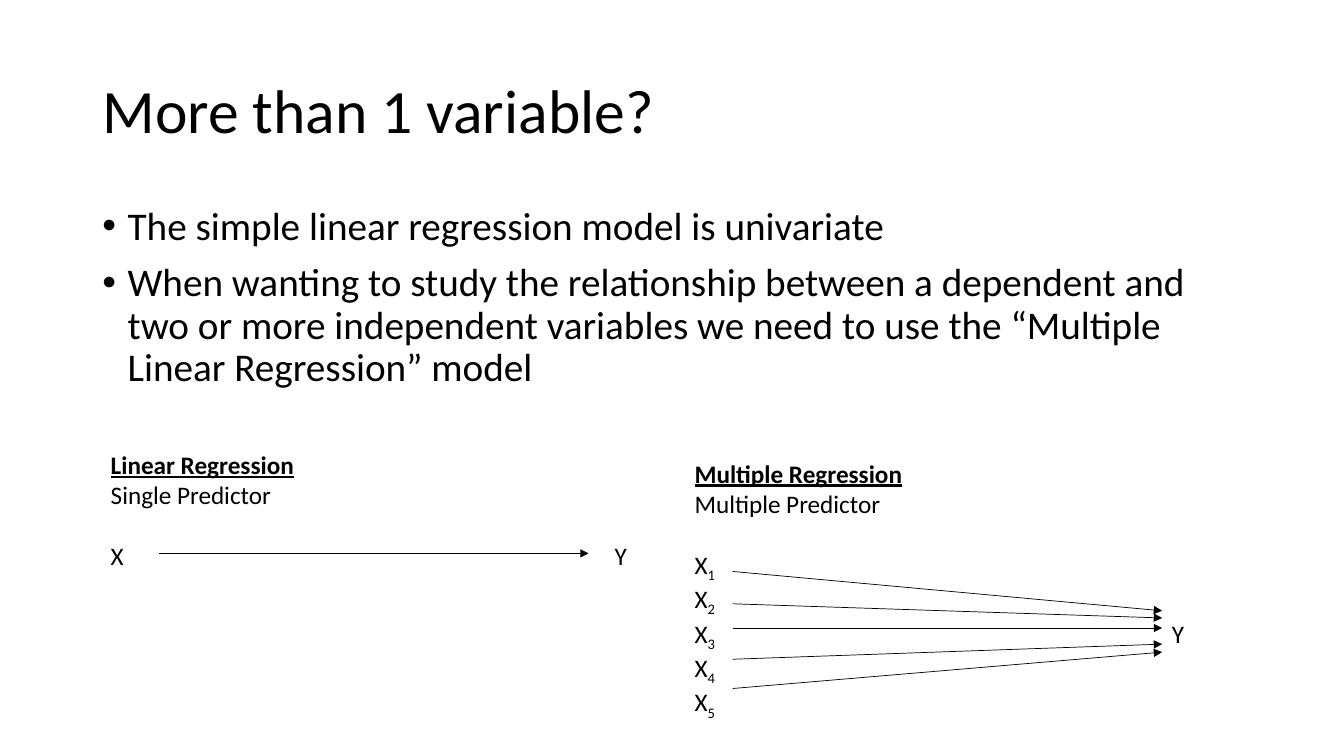
"""Build a slide that contrasts simple and multiple linear regression."""
from lxml import etree
from pptx import Presentation
from pptx.dml.color import RGBColor
from pptx.enum.shapes import MSO_CONNECTOR
from pptx.enum.text import MSO_ANCHOR, MSO_AUTO_SIZE, PP_ALIGN
from pptx.oxml.ns import qn
from pptx.util import Pt

STRAIGHT = MSO_CONNECTOR.STRAIGHT
LEFT = PP_ALIGN.LEFT
TOP, MIDDLE = MSO_ANCHOR.TOP, MSO_ANCHOR.MIDDLE
NO_FIT = MSO_AUTO_SIZE.NONE
COLORS = {"ink": "000000", "paper": "FFFFFF"}
FONT = "Calibri"
LINE_HEIGHT = 22

TITLE = "More than 1 variable?"
POINTS = [
    "The simple linear regression model is univariate",
    "When wanting to study the relationship between a dependent and two or more "
    "independent variables we need to use the “Multiple Linear Regression” model",
]
MODELS = [
    {
        "heading": "Linear Regression",
        "subheading": "Single Predictor",
        "predictors": [("X\tY",)],
        "box": (72, 317.3, 389.5, 94.3),
        "outcome_tab": 360,
        "arrow_x": 113.8,
        "arrow_y": [(395.3, 395.3)],
    },
    {
        "heading": "Multiple Regression",
        "subheading": "Multiple Predictor",
        "predictors": [("X", "1"), ("X", "2"), ("X", "3", "\tY"), ("X", "4"), ("X", "5")],
        "box": (489, 323.5, 389.5, 181.4),
        "outcome_tab": 341,
        "arrow_x": 523.4,
        "arrow_y": [(408.2, 436.3), (431.3, 441.4), (448.6, 448.6),
                    (470.9, 460.1), (491.8, 465.8)],
    },
]
ARROW_LENGTH = 306.7


def write(frame, *parts, size=18, bold=False, underline=False, before=0,
          spacing=1.0, bullet=False, tab=None):
    """Append a paragraph in which every second part is a subscript."""
    first = frame.paragraphs[0]
    paragraph = frame.add_paragraph() if first.runs else first
    paragraph.alignment = LEFT
    paragraph.line_spacing = spacing
    paragraph.space_before = Pt(before)
    properties = paragraph._p.get_or_add_pPr()
    if bullet:
        properties.set("marL", str(Pt(18)))
        properties.set("indent", str(-Pt(18)))
        etree.SubElement(properties, qn("a:buFont"), typeface="Arial")
        etree.SubElement(properties, qn("a:buChar"), char="•")
    if tab:
        stops = etree.SubElement(properties, qn("a:tabLst"))
        etree.SubElement(stops, qn("a:tab"), pos=str(Pt(tab)), algn="l")
    for index, part in enumerate(parts):
        run = paragraph.add_run()
        run.text = part
        run.font.name = FONT
        run.font.size = Pt(size)
        run.font.bold = bold
        run.font.underline = underline
        run.font.color.rgb = RGBColor.from_string(COLORS["ink"])
        if index % 2:
            run._r.get_or_add_rPr().set("baseline", "-25000")


def prepare(holder, box, anchor):
    """Place a text holder and return its frame."""
    holder.left, holder.top, holder.width, holder.height = map(Pt, box)
    frame = holder.text_frame
    frame.word_wrap = True
    frame.auto_size = NO_FIT
    frame.vertical_anchor = anchor
    return frame


def add_arrow(slide, x, start_y, end_y):
    """Draw a thin arrow from a predictor to the outcome."""
    arrow = slide.shapes.add_connector(
        STRAIGHT, Pt(x), Pt(start_y), Pt(x + ARROW_LENGTH), Pt(end_y))
    arrow.line.width = Pt(0.5)
    arrow.line.color.rgb = RGBColor.from_string(COLORS["ink"])
    etree.SubElement(arrow.line._get_or_add_ln(), qn("a:tailEnd"), type="triangle")
    etree.SubElement(arrow._element.spPr, qn("a:effectLst"))


def add_model(slide, model):
    """Add the text and arrows of one regression model."""
    holder = slide.shapes.add_textbox(0, 0, 0, 0)
    frame = prepare(holder, model["box"], TOP)
    write(frame, model["heading"], bold=True, underline=True)
    write(frame, model["subheading"])
    for index, predictor in enumerate(model["predictors"]):
        write(frame, *predictor, before=0 if index else LINE_HEIGHT,
              tab=model["outcome_tab"])
    for start_y, end_y in model["arrow_y"]:
        add_arrow(slide, model["arrow_x"], start_y, end_y)


def main():
    """Build and save the slide."""
    deck = Presentation()
    deck.slide_width, deck.slide_height = Pt(960), Pt(540)
    slide = deck.slides.add_slide(deck.slide_layouts[1])
    slide.background.fill.solid()
    slide.background.fill.fore_color.rgb = RGBColor.from_string(COLORS["paper"])
    title, body = slide.placeholders
    write(prepare(title, (66, 28.8, 828, 104.4), MIDDLE), TITLE, size=44, spacing=0.9)
    points = prepare(body, (66, 144, 828, 342.7), TOP)
    for point in POINTS:
        write(points, point, size=28, before=10, spacing=0.9, bullet=True)
    for model in MODELS:
        add_model(slide, model)
    deck.save("out.pptx")


if __name__ == "__main__":
    main()
